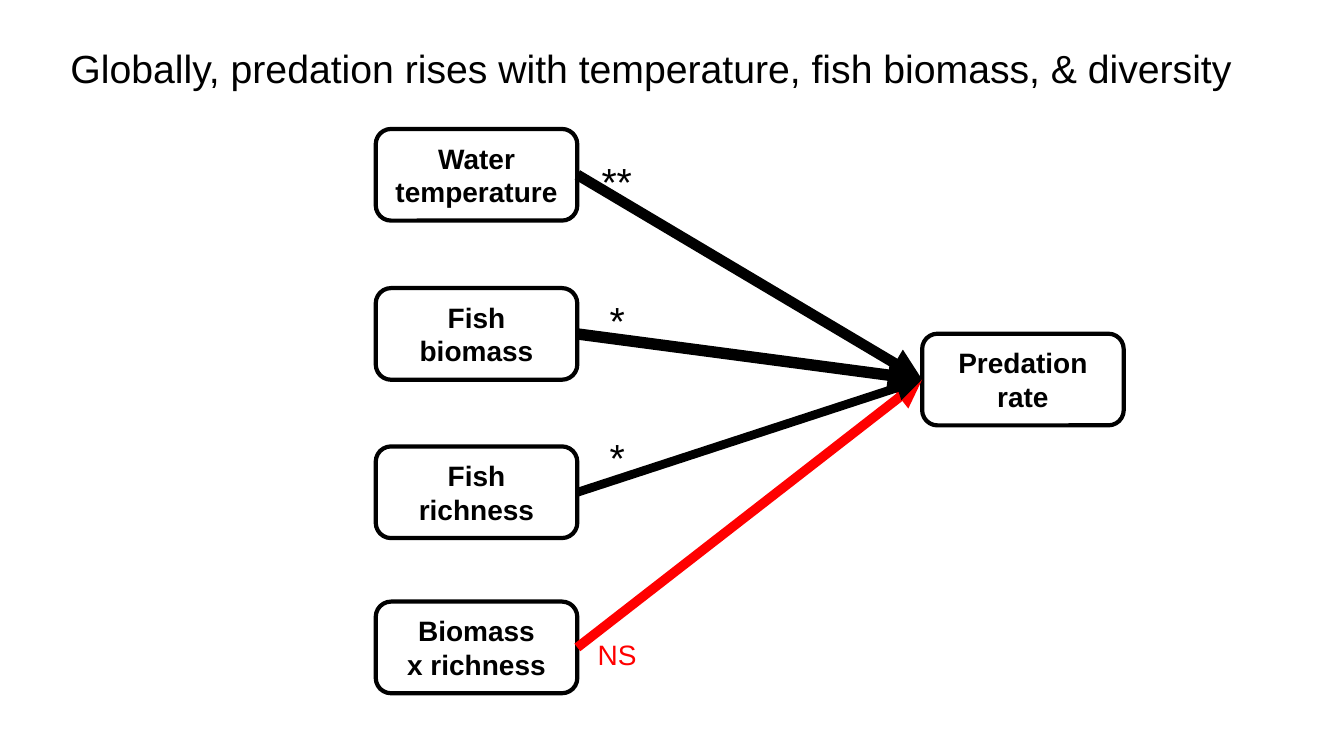
from lxml.etree import SubElement
from pptx import Presentation
from pptx.dml.color import RGBColor
from pptx.enum.shapes import MSO_CONNECTOR, MSO_SHAPE
from pptx.enum.text import MSO_ANCHOR, MSO_AUTO_SIZE, PP_ALIGN
from pptx.oxml.ns import qn
from pptx.util import Cm, Pt

# Content
TITLE = "Globally, predation rises with temperature, fish biomass, & diversity"
OUTCOME = ("Predation", "rate")
# Drivers in drawing order: lines, box top, arrow weight, colour,
# significance mark, then the mark's top, width, height and type size
DRIVERS = [
    (("Water", "temperature"), 3.25, 7.6, "ink", "**", (3.84, 1.3, 1.45, "large")),
    (("Fish", "biomass"), 7.26, 8.16, "ink", "*", (7.34, 0.89, 1.45, "large")),
    (("Biomass", "x richness"), 15.16, 6.84, "alert", "NS", (15.95, 1.5, 1.12, "body")),
    (("Fish", "richness"), 11.25, 6.25, "ink", "*", (10.8, 0.89, 1.45, "large")),
]

THEME = {
    "font": "Arial",
    "ink": RGBColor(0, 0, 0),
    "paper": RGBColor(255, 255, 255),
    "alert": RGBColor(255, 0, 0),
    "large": Pt(28),
    "body": Pt(20),
}

# Layout in centimetres
BOX_W, BOX_H = 5.08, 2.31
DRIVER_X = 9.47
OUTCOME_X, OUTCOME_Y = 23.24, 8.41
MARK_CENTRE = 15.56
LEFT_SITE, RIGHT_SITE = 1, 3


def write(tf, lines, size, color="ink", bold=False, align=PP_ALIGN.CENTER):
    for i, line in enumerate(lines):
        p = tf.paragraphs[0] if i == 0 else tf.add_paragraph()
        p.alignment = align
        r = p.add_run()
        r.text = line
        r.font.name = THEME["font"]
        r.font.size = THEME[size]
        r.font.bold = bold
        r.font.color.rgb = THEME[color]


def add_box(slide, lines, x, y):
    sp = slide.shapes.add_shape(
        MSO_SHAPE.ROUNDED_RECTANGLE, Cm(x), Cm(y), Cm(BOX_W), Cm(BOX_H))
    sp.shadow.inherit = False
    sp.fill.solid()
    sp.fill.fore_color.rgb = THEME["paper"]
    color = sp.fill._xPr.find(qn("a:solidFill"))[0]
    SubElement(color, qn("a:alpha"), val="69000")
    sp.line.color.rgb = THEME["ink"]
    sp.line.width = Pt(3)
    tf = sp.text_frame
    tf.word_wrap = False
    tf.vertical_anchor = MSO_ANCHOR.MIDDLE
    write(tf, lines, "body", bold=True)
    return sp


def add_arrow(slide, start, end, weight, color):
    line = slide.shapes.add_connector(MSO_CONNECTOR.STRAIGHT, 0, 0, 0, 0)
    line.begin_connect(start, RIGHT_SITE)
    line.end_connect(end, LEFT_SITE)
    line.line.color.rgb = THEME[color]
    line.line.width = Pt(weight)
    SubElement(line.line._get_or_add_ln(), qn("a:tailEnd"), type="triangle")
    SubElement(line._element.spPr, qn("a:effectLst"))


def add_mark(slide, text, color, place):
    top, width, height, size = place
    sp = slide.shapes.add_textbox(
        Cm(MARK_CENTRE - width / 2), Cm(top), Cm(width), Cm(height))
    tf = sp.text_frame
    tf.word_wrap = False
    tf.auto_size = MSO_AUTO_SIZE.SHAPE_TO_FIT_TEXT
    write(tf, [text], size, color, align=PP_ALIGN.LEFT)


def main():
    prs = Presentation()
    prs.slide_width, prs.slide_height = Cm(33.87), Cm(19.05)
    slide = prs.slides.add_slide(prs.slide_layouts[5])

    # Title
    title = slide.shapes.title
    title.left, title.top, title.width, title.height = (
        Cm(1.52), Cm(0.99), Cm(30.73), Cm(1.45))
    tf = title.text_frame
    tf.word_wrap = True
    tf.auto_size = MSO_AUTO_SIZE.NONE
    tf.vertical_anchor = MSO_ANCHOR.TOP
    write(tf, [TITLE], "large", align=PP_ALIGN.LEFT)

    # Outcome and driver boxes
    outcome = add_box(slide, OUTCOME, OUTCOME_X, OUTCOME_Y)
    boxes = [add_box(slide, lines, DRIVER_X, y) for lines, y, *_ in DRIVERS]

    # Arrows, then their significance marks
    for box, (_, _, weight, color, _, _) in zip(boxes, DRIVERS):
        add_arrow(slide, box, outcome, weight, color)
    for _, _, _, color, mark, place in DRIVERS:
        add_mark(slide, mark, color, place)

    prs.save("out.pptx")


if __name__ == "__main__":
    main()
